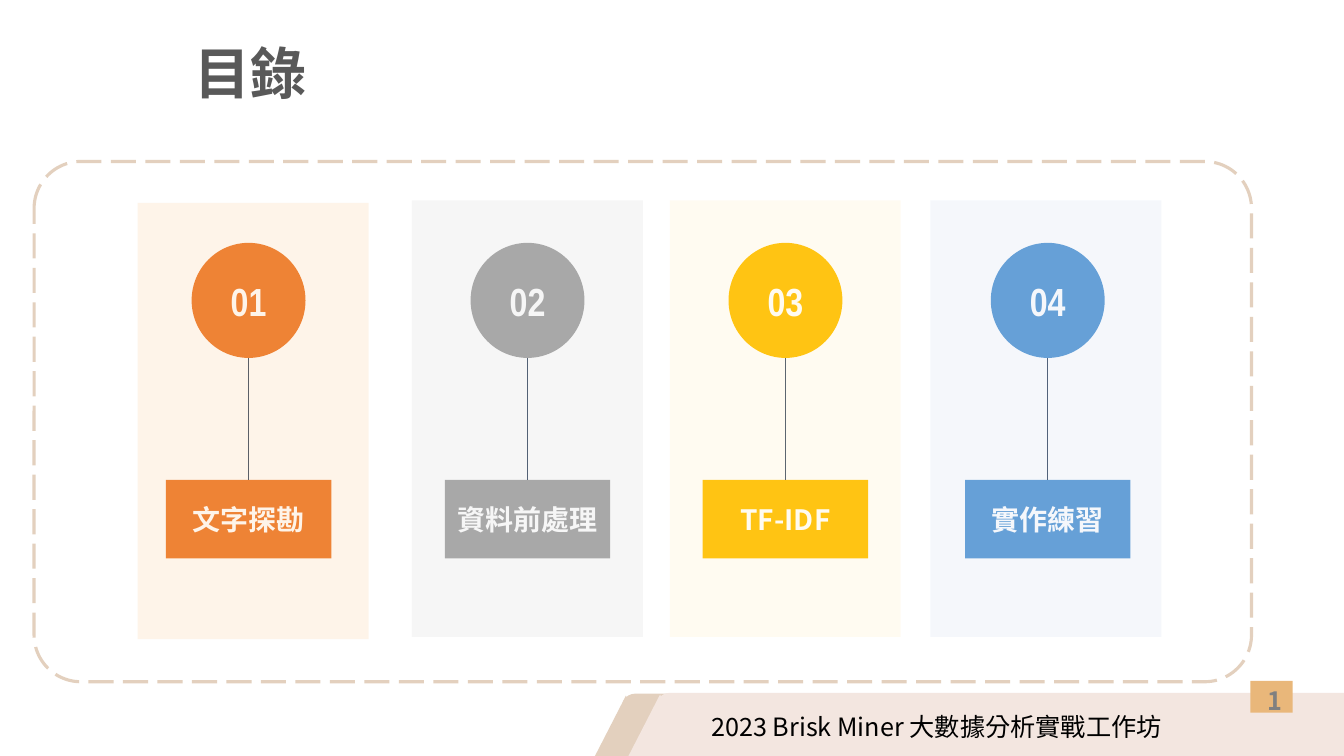
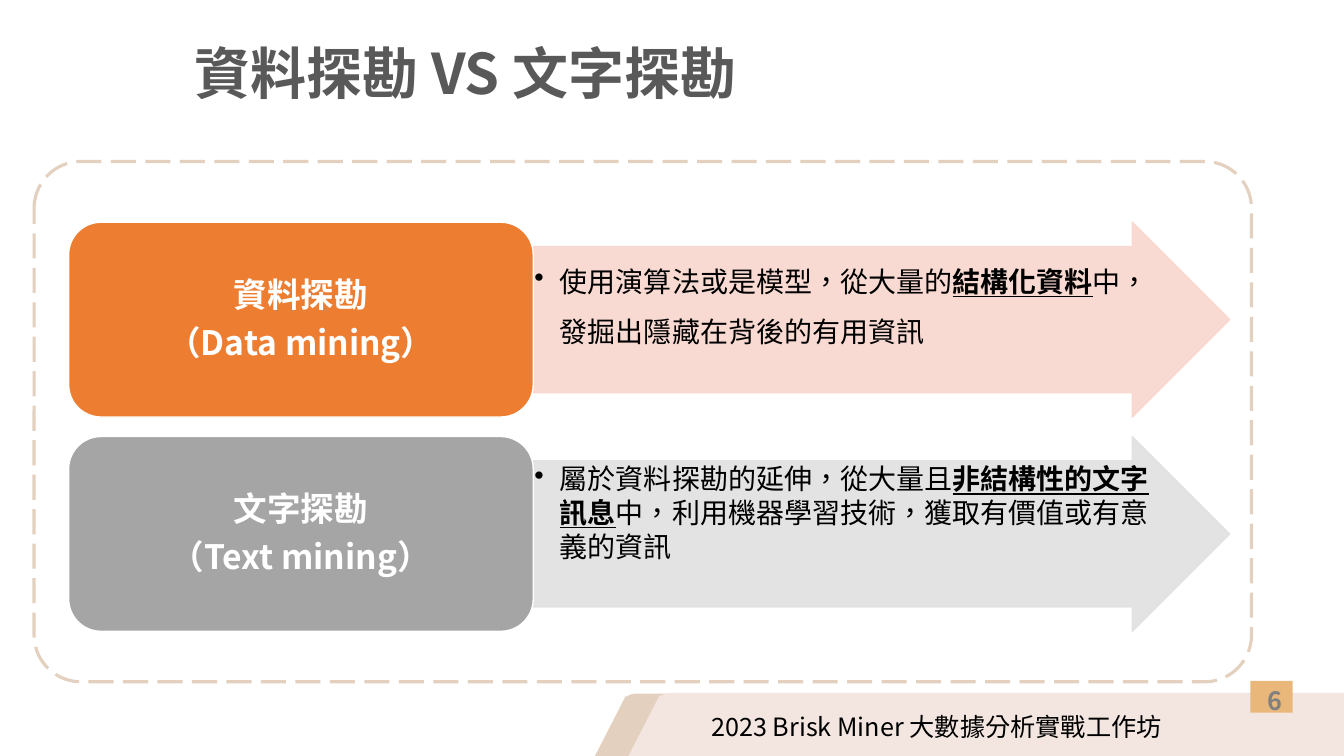
from dataclasses import dataclass
from typing import Optional

from lxml import etree
from pptx import Presentation
from pptx.dml.color import RGBColor
from pptx.enum.dml import MSO_LINE
from pptx.enum.shapes import MSO_CONNECTOR, MSO_SHAPE
from pptx.enum.text import MSO_ANCHOR, MSO_AUTO_SIZE, PP_ALIGN
from pptx.oxml.ns import qn
from pptx.util import Cm, Pt

RECT = MSO_SHAPE.RECTANGLE
ROUND = MSO_SHAPE.ROUNDED_RECTANGLE
DIAG = MSO_SHAPE.ROUND_2_DIAG_RECTANGLE
PEAK = MSO_SHAPE.ISOSCELES_TRIANGLE
OVAL = MSO_SHAPE.OVAL
ARROW = MSO_SHAPE.RIGHT_ARROW
DASH = MSO_LINE.LONG_DASH
LEFT, MID = PP_ALIGN.LEFT, PP_ALIGN.CENTER
TOP, CENTER = MSO_ANCHOR.TOP, MSO_ANCHOR.MIDDLE


@dataclass(frozen=True)
class Theme:
    sans: str = "Noto Sans CJK SC"
    label: str = "Noto Sans CJK TC"
    digit: str = "Arial Narrow"
    black: str = "000000"
    white: str = "FFFFFF"
    title: str = "595959"
    page: str = "808080"
    sand: str = "E3D0BE"
    blush: str = "F3E6E0"
    tab: str = "E9B77A"
    stem: str = "44546A"
    orange: str = "ED7D31"
    gray: str = "A5A5A5"
    gold: str = "FFC000"
    blue: str = "5B9BD5"
    title_pt: int = 40
    digit_pt: int = 28
    head_pt: int = 24
    body_pt: int = 20
    foot_pt: int = 18


T = Theme()


@dataclass(frozen=True)
class Run:
    text: str
    strong: bool = False


@dataclass(frozen=True)
class Part:
    kind: int
    box: tuple
    fill: str


@dataclass(frozen=True)
class Card:
    num: str
    label: str
    fill: str
    tint: str
    mid: float
    panel: tuple  # middle and top of the tinted panel


@dataclass(frozen=True)
class Row:
    head: list
    fill: str
    tint: str
    body: list
    pitch: int


BAND = [
    Part(DIAG, (15.67, 17.48, 18.36, 1.88), T.sand),
    Part(PEAK, (14.81, 17.53, 1.93, 1.88), T.sand),
    Part(DIAG, (16.54, 17.46, 18.08, 1.88), T.blush),
    Part(PEAK, (15.67, 17.5, 1.93, 1.88), T.blush),
    Part(RECT, (31.51, 17.16, 1.07, 0.8), T.tab),
]

CARDS = [
    Card("01", "文字探勘", T.orange, "FAAD56", 6.26, (6.38, 5.11)),
    Card("02", "資料前處理", T.gray, "BFBFBF", 13.29, (13.29, 5.05)),
    Card("03", "TF-IDF", T.gold, "FFE699", 19.79, (19.79, 5.05)),
    Card("04", "實作練習", T.blue, "B4C7E7", 26.4, (26.36, 5.05)),
]

ROWS = [
    Row(["資料探勘", "（Data mining）"], T.orange, "F8D7CE",
        [Run("使用演算法或是模型，從大量的"), Run("結構化資料", True),
         Run("中，發掘出隱藏在背後的有用資訊")], 36),
    Row(["文字探勘", "（Text mining）"], T.gray, "E1E1E1",
        [Run("屬於資料探勘的延伸，從大量且"), Run("非結構性的文字訊息", True),
         Run("中，利用機器學習技術，獲取有價值或有意義的資訊")], 24),
]


def paint(fill, color: str, alpha: int = 100) -> None:
    fill.solid()
    fill.fore_color.rgb = RGBColor.from_string(color)
    if alpha < 100:
        # The colour element is reached through the fill's own XML.
        node = fill.fore_color._color._xClr
        etree.SubElement(node, qn("a:alpha")).set("val", str(alpha * 1000))


def shape(slide, kind: int, box: tuple, *, fill: Optional[str] = None,
          alpha: int = 100, line: Optional[str] = None, width: float = 1,
          dash=None, adj: tuple = ()):
    item = slide.shapes.add_shape(kind, *map(Cm, box))
    item.shadow.inherit = False
    if fill:
        paint(item.fill, fill, alpha)
    else:
        item.fill.background()
    if line:
        paint(item.line.fill, line, alpha)
        item.line.width = Pt(width)
        if dash:
            item.line.dash_style = dash
    else:
        item.line.fill.background()
    for i, value in enumerate(adj):
        item.adjustments[i] = value
    return item


def write(item, paras: list, *, size: int, color: str, font: str = T.sans,
          bold: bool = False, align=MID, anchor=CENTER, pad: tuple = (),
          pitch=None, before: float = 0, bullet: bool = False) -> None:
    """Fill a shape with paragraphs, each a string or a list of runs."""
    frame = item.text_frame
    frame.word_wrap = True
    frame.auto_size = MSO_AUTO_SIZE.NONE
    frame.vertical_anchor = anchor
    if pad:
        (frame.margin_left, frame.margin_top,
         frame.margin_right, frame.margin_bottom) = map(Cm, pad)
    for i, para in enumerate(paras):
        p = frame.add_paragraph() if i else frame.paragraphs[0]
        p.alignment = align
        if bullet:
            props = p._p.get_or_add_pPr()
            props.set("marL", str(Cm(0.64)))
            props.set("indent", str(-Cm(0.64)))
            etree.SubElement(props, qn("a:buChar")).set("char", "•")
        if pitch:
            p.line_spacing = pitch
        if i and before:
            p.space_before = Pt(before)
        for part in [Run(para)] if isinstance(para, str) else para:
            r = p.add_run()
            r.text = part.text
            r.font.size = Pt(size)
            r.font.bold = bold or part.strong
            r.font.underline = part.strong
            r.font.color.rgb = RGBColor.from_string(color)
            r.font.name = font
            props = r.font._element
            props.set("lang", "zh-TW")
            etree.SubElement(props, qn("a:ea")).set("typeface", font)


def note(slide, box: tuple, paras: list, **form) -> None:
    write(slide.shapes.add_textbox(*map(Cm, box)), paras, **form)


def stem(slide, x: float, top: float, end: float) -> None:
    line = slide.shapes.add_connector(
        MSO_CONNECTOR.STRAIGHT, Cm(x), Cm(top), Cm(x), Cm(end))
    paint(line.line.fill, T.stem)
    line.line.width = Pt(0.75)
    etree.SubElement(line._element.spPr, qn("a:effectLst"))


def start(deck, title: str, page: str):
    """Add a slide with the title, footer band, page number and frame."""
    slide = deck.slides.add_slide(deck.slide_layouts[5])
    for part in BAND:
        adj = (0.18, 0) if part.kind == DIAG else ()
        shape(slide, part.kind, part.box, fill=part.fill, adj=adj)
    note(slide, (31.25, 17.15, 1.75, 1.02), [page],
         size=T.foot_pt, color=T.page, bold=True)
    shape(slide, ROUND, (0.86, 4.07, 30.68, 13.11), line=T.sand,
          width=2.25, dash=DASH, adj=(0.09,))
    note(slide, (17.68, 17.79, 13, 1.02),
         ["2023 Brisk Miner 大數據分析實戰工作坊"],
         size=T.foot_pt, color=T.black, align=LEFT)
    head = slide.shapes.title
    head.left, head.top, head.width, head.height = map(
        Cm, (4.65, 0.08, 26.87, 3.68))
    write(head, [title], size=T.title_pt, color=T.title, bold=True,
          align=LEFT, pitch=0.9)
    return slide


def agenda(deck) -> None:
    slide = start(deck, "目錄", "1")
    pad = (0.25,) * 4
    for card in CARDS:
        disc = shape(slide, OVAL, (card.mid - 1.43, 6.12, 2.87, 2.9),
                     fill=card.fill)
        write(disc, [card.num], size=T.digit_pt, color=T.white,
              font=T.digit, bold=True, pad=pad)
        tag = shape(slide, RECT, (card.mid - 2.08, 12.09, 4.17, 1.98),
                    fill=card.fill)
        write(tag, [card.label], size=T.body_pt, color=T.white,
              font=T.label, bold=True, pad=pad)
        stem(slide, card.mid, 9.02, 12.09)
        mid, top = card.panel
        shape(slide, RECT, (mid - 2.91, top, 5.82, 11), fill=card.tint,
              alpha=13)


def versus(deck) -> None:
    slide = start(deck, "資料探勘 VS 文字探勘", "6")
    for i, row in enumerate(ROWS):
        top = 5.6 + 5.4 * i
        shape(slide, ARROW, (13.44, top, 17.55, 4.91), fill=row.tint,
              alpha=90, line=row.tint, adj=(0.75, 0.5))
        note(slide, (13.44, top + 0.61, 15.72, 3.68), [row.body],
             size=T.body_pt, color=T.black, align=LEFT, anchor=TOP,
             pad=(0.03,) * 4, pitch=Pt(row.pitch), bullet=True)
        box = shape(slide, ROUND, (1.73, top, 11.71, 4.91), fill=row.fill,
                    line=T.white)
        write(box, row.head, size=T.head_pt, color=T.white, bold=True,
              pitch=Pt(26), before=8.4)


def main() -> None:
    deck = Presentation()
    deck.slide_width, deck.slide_height = Cm(33.87), Cm(19.05)
    agenda(deck)
    versus(deck)
    deck.save("out.pptx")


if __name__ == "__main__":
    main()
